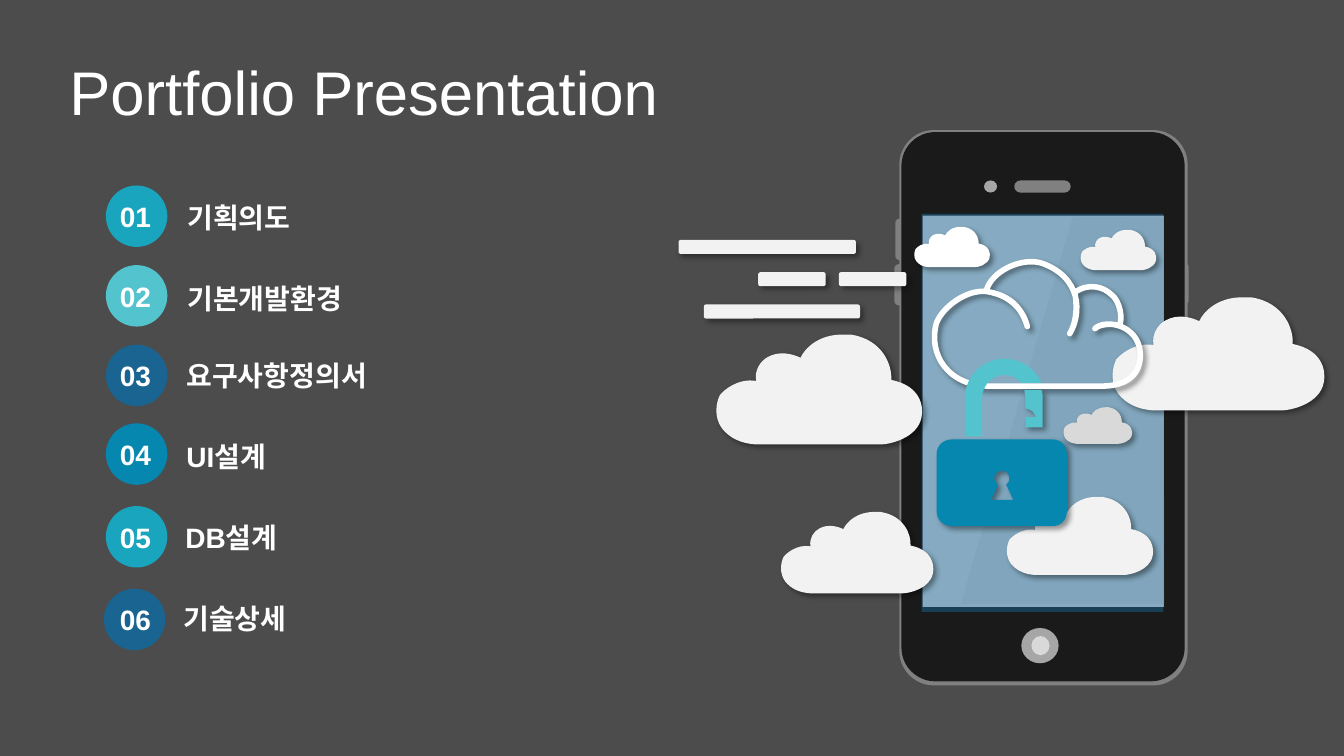
from dataclasses import dataclass

from lxml import etree
from pptx import Presentation
from pptx.dml.color import RGBColor
from pptx.enum.shapes import MSO_SHAPE
from pptx.enum.text import MSO_ANCHOR
from pptx.oxml.ns import qn
from pptx.util import Inches, Pt

RECT = MSO_SHAPE.RECTANGLE
ROUND = MSO_SHAPE.ROUNDED_RECTANGLE
OVAL = MSO_SHAPE.OVAL
MIDDLE = MSO_ANCHOR.MIDDLE
TOP = MSO_ANCHOR.TOP
WHITE, PALE, GREY = "FFFFFF", "F2F2F2", "808080"
AQUA, TEAL, NAVY, BLUE = "19A5BE", "53C3CD", "196491", "0587AF"


@dataclass
class Part:
    kind: int
    left: float
    top: float
    width: float
    height: float
    fill: str
    round: float = 0.0


@dataclass
class Row:
    top: float
    fill: str
    text: str
    text_left: float
    text_top: float
    left: float = 1.05


@dataclass
class Cloud:
    left: float
    top: float
    width: float
    fill: str = PALE


def color(code: str) -> RGBColor:
    return RGBColor.from_string(code)


def fade(shape, percent: int) -> None:
    tint = shape._element.spPr.find(qn("a:solidFill"))[0]
    etree.SubElement(tint, qn("a:alpha"), val=str(percent * 1000))


def shade(shape) -> None:
    effect = shape._element.spPr.find(qn("a:effectLst"))
    cast = etree.SubElement(effect, qn("a:outerShdw"), blurRad=str(Pt(4)),
                            dist=str(Pt(3)), dir="2700000", algn="tl", rotWithShape="0")
    tint = etree.SubElement(cast, qn("a:srgbClr"), val="000000")
    etree.SubElement(tint, qn("a:alpha"), val="40000")


def paint(shape, fill: str) -> None:
    shape.fill.solid()
    shape.fill.fore_color.rgb = color(fill)
    shape.line.fill.background()
    shape.shadow.inherit = False


def add_part(shapes, part: Part):
    shape = shapes.add_shape(part.kind, Inches(part.left), Inches(part.top),
                             Inches(part.width), Inches(part.height))
    if part.round:
        shape.adjustments[0] = part.round
    paint(shape, part.fill)
    return shape


def add_text(shapes, text: str, left: float, top: float, width: float, height: float,
             size: int = 20, bold: bool = True, wrap: bool = True, anchor=TOP):
    box = shapes.add_textbox(Inches(left), Inches(top), Inches(width), Inches(height))
    frame = box.text_frame
    frame.word_wrap = wrap
    frame.vertical_anchor = anchor
    line = frame.paragraphs[0]
    line.text = text
    line.font.name = "Arial"
    line.font.size = Pt(size)
    line.font.bold = bold
    line.font.color.rgb = color(WHITE)
    return line


def bend(shape, paths: list[list[tuple]]) -> None:
    """Merge the three lines drawn for each six-number step into one cubic curve."""
    lines = iter(list(shape._element.iter(qn("a:lnTo"))))
    for path in paths:
        for step in path[1:]:
            first = next(lines)
            if len(step) == 2:
                continue
            curve = etree.Element(qn("a:cubicBezTo"))
            first.addprevious(curve)
            for line in (first, next(lines), next(lines)):
                curve.append(line[0])
                line.getparent().remove(line)


def add_free(shapes, paths: list[list[tuple]], left: float = 0, top: float = 0,
             scale: float = 1):
    """Draw closed paths whose steps are points (2 numbers) or curves (6 numbers)."""
    loops = [[(Inches(left + step[i] * scale), Inches(top + step[i + 1] * scale))
              for step in path for i in range(0, len(step), 2)] for path in paths]
    pen = shapes.build_freeform(*loops[0][0])
    for i, loop in enumerate(loops):
        if i:
            pen.move_to(*loop[0])
        pen.add_line_segments(loop[1:], close=True)
    shape = pen.convert_to_shape()
    bend(shape, paths)
    return shape


PHONE = [
    Part(ROUND, 8.88, 2.17, 0.08, 0.41, GREY, 0.5),
    Part(ROUND, 8.87, 2.62, 0.09, 0.41, GREY, 0.5),
    Part(ROUND, 11.71, 2.61, 0.08, 0.41, GREY, 0.5),
    Part(ROUND, 8.92, 1.29, 2.86, 5.51, GREY, 0.12),
    Part(ROUND, 8.94, 1.31, 2.81, 5.45, "1A1A1A", 0.12),
    Part(RECT, 9.15, 2.14, 2.39, 3.88, PALE),
    Part(OVAL, 10.13, 6.23, 0.37, 0.35, "A6A6A6"),
    Part(OVAL, 10.23, 6.31, 0.18, 0.19, "D9D9D9"),
    Part(ROUND, 10.06, 1.79, 0.56, 0.12, GREY, 0.5),
    Part(OVAL, 9.76, 1.79, 0.13, 0.12, "A6A6A6"),
]
GLARE = [(10.64, 2.15), (11.54, 2.16), (11.55, 5.99), (9.53, 5.99)]
ROWS = [
    Row(1.84, AQUA, "기획의도", 1.76, 1.94),
    Row(2.63, TEAL, "기본개발환경", 1.76, 2.74),
    Row(3.42, NAVY, "요구사항정의서", 1.75, 3.51),
    Row(4.2, BLUE, "UI설계", 1.75, 4.31),
    Row(5.02, AQUA, "DB설계", 1.74, 5.11),
    Row(5.84, NAVY, "기술상세", 1.72, 5.92, 1.03),
]
PUFF_WIDTH = 2.04
PUFF = [
    (1.27, 0), (1.29, 0, 1.31, 0, 1.33, 0), (1.65, 0.05, 1.74, 0.31, 1.73, 0.45),
    (2.03, 0.51, 2.05, 0.72, 2.03, 0.82), (1.99, 1.03, 1.71, 1.09, 1.62, 1.09),
    (0.39, 1.09), (0.24, 1.08, 0.13, 1.03, 0.05, 0.93),
    (-0.03, 0.82, -0.01, 0.68, 0.03, 0.6), (0.07, 0.55, 0.21, 0.43, 0.39, 0.46),
    (0.37, 0.36, 0.43, 0.26, 0.51, 0.22), (0.62, 0.16, 0.75, 0.19, 0.83, 0.23),
    (0.87, 0.14, 1.01, -0.01, 1.27, 0),
]
BACK = [Cloud(7.11, 3.32, 2.04), Cloud(11.04, 2.95, 2.1), Cloud(10.55, 4.04, 0.68, "D9D9D9"),
        Cloud(9.07, 2.25, 0.75, WHITE), Cloud(10.72, 2.28, 0.75)]
FRONT = [Cloud(7.75, 5.08, 1.51), Cloud(9.99, 4.93, 1.45)]
SKETCH = [
    (9.84, 3.83), (10.95, 3.83), (11.26, 3.82, 11.34, 3.63, 11.3, 3.44),
    (11.24, 3.21, 10.95, 3.17, 10.86, 3.26), (10.91, 3.21, 11.04, 3.21, 11.1, 3.23),
    (11.14, 3.17, 11.11, 2.98, 11.02, 2.92), (10.95, 2.85, 10.8, 2.8, 10.66, 2.9),
    (10.68, 3.01, 10.69, 3.17, 10.61, 3.31), (10.73, 3.11, 10.73, 2.75, 10.33, 2.61),
    (10.13, 2.55, 9.83, 2.69, 9.78, 2.89), (9.93, 2.92, 10.11, 2.97, 10.19, 3.24),
    (10.15, 3.07, 10.01, 2.92, 9.77, 2.89), (9.57, 2.88, 9.35, 3.05, 9.29, 3.2),
    (9.2, 3.51, 9.4, 3.84, 9.84, 3.83),
]
LATCH = [(10.16, 3.87), (10.33, 3.87), (10.34, 3.91), (10.34, 4.24), (10.17, 4.24),
         (10.17, 4.14), (10.27, 4.14), (10.27, 4.1, 10.23, 4.06, 10.17, 4.05), (10.17, 3.94)]
ARCH = [(9.96, 3.56), (10.13, 3.56, 10.27, 3.66, 10.33, 3.8), (10.13, 3.8),
        (10.09, 3.75, 10.03, 3.72, 9.96, 3.72), (9.84, 3.72, 9.74, 3.83, 9.74, 3.95),
        (9.74, 4.33), (9.57, 4.33), (9.57, 3.95), (9.57, 3.73, 9.75, 3.56, 9.96, 3.56)]
LOCK = [(9.44, 4.36), (10.44, 4.36), (10.52, 4.36, 10.58, 4.42, 10.58, 4.5), (10.58, 5.08),
        (10.58, 5.16, 10.52, 5.22, 10.44, 5.22), (9.44, 5.22),
        (9.36, 5.22, 9.29, 5.16, 9.29, 5.08), (9.29, 4.5),
        (9.29, 4.42, 9.36, 4.36, 9.44, 4.36)]
KEYHOLE = [(9.94, 4.67), (9.9, 4.67, 9.86, 4.7, 9.86, 4.75),
           (9.86, 4.77, 9.88, 4.8, 9.9, 4.81), (9.83, 4.96), (10.05, 4.96), (9.98, 4.81),
           (10, 4.8, 10.01, 4.77, 10.01, 4.75), (10.01, 4.7, 9.98, 4.67, 9.94, 4.67)]
BARS = [(6.73, 2.38, 1.76), (6.98, 3.02, 1.55), (7.52, 2.7, 0.67), (8.32, 2.7, 0.67)]


def add_clouds(shapes, clouds: list[Cloud]) -> None:
    for cloud in clouds:
        puff = add_free(shapes, [PUFF], cloud.left, cloud.top, cloud.width / PUFF_WIDTH)
        paint(puff, cloud.fill)
        shade(puff)


def main() -> None:
    deck = Presentation()
    deck.slide_width, deck.slide_height = Inches(13.33), Inches(7.5)
    slide = deck.slides.add_slide(deck.slide_layouts[6])
    slide.background.fill.solid()
    slide.background.fill.fore_color.rgb = color("4C4C4C")
    shapes = slide.shapes

    # Phone
    for part in PHONE:
        add_part(shapes, part)
    glare = add_free(shapes, [GLARE])
    paint(glare, "999999")
    fade(glare, 10)
    fade(add_part(shapes, Part(RECT, 9.14, 2.12, 2.4, 3.95, NAVY)), 50)

    # Title and numbered list
    title = add_text(shapes, "Portfolio Presentation", 0.59, 0.56, 6.45, 0.78,
                     size=44, bold=False, anchor=MIDDLE)
    title.line_spacing = 0.9
    for i, row in enumerate(ROWS, 1):
        add_part(shapes, Part(OVAL, row.left, row.top, 0.61, 0.61, row.fill))
        add_text(shapes, f"{i:02}", 1.09, row.top + 0.09, 0.51, 0.44, wrap=False)
        add_text(shapes, row.text, row.text_left, row.text_top, 4.15, 0.44)

    # Clouds and padlock
    add_clouds(shapes, BACK)
    sketch = add_free(shapes, [SKETCH])
    sketch.fill.background()
    sketch.line.color.rgb = color(WHITE)
    sketch.line.width = Pt(4)
    sketch.shadow.inherit = False
    shade(sketch)
    latch = add_free(shapes, [LATCH])
    paint(latch, TEAL)
    shade(latch)
    paint(add_free(shapes, [ARCH]), TEAL)
    add_clouds(shapes, FRONT)
    lock = add_free(shapes, [LOCK, KEYHOLE])
    paint(lock, BLUE)
    shade(lock)

    # Speed bars
    for left, top, width in BARS:
        shade(add_part(shapes, Part(ROUND, left, top, width, 0.14, PALE)))

    deck.save("out.pptx")


if __name__ == "__main__":
    main()
